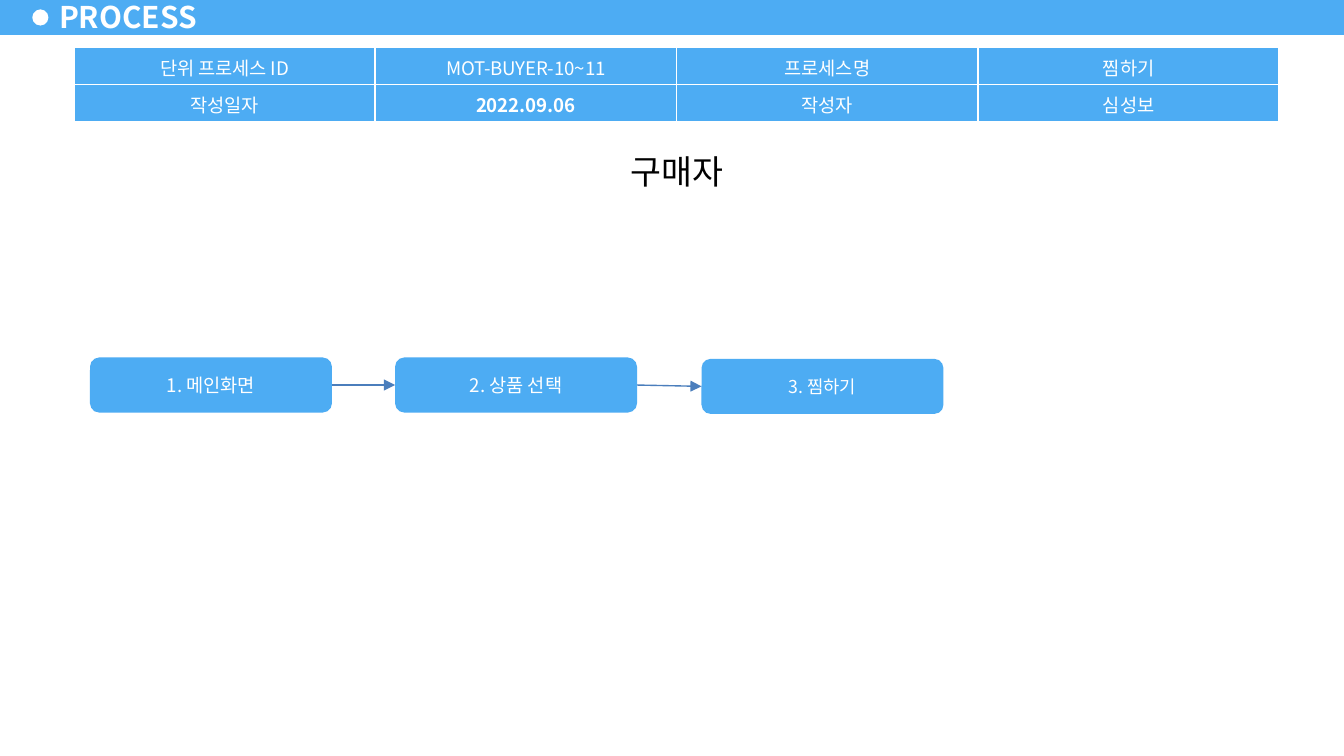
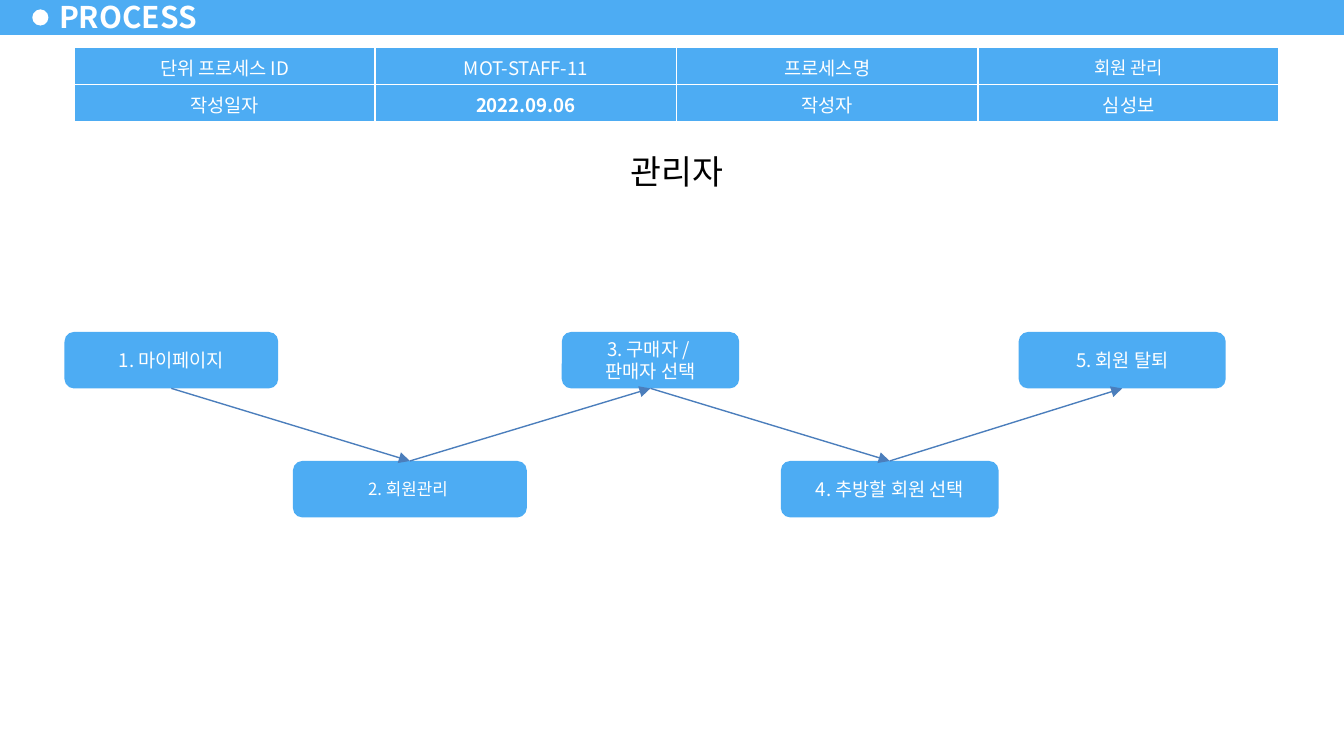
"""Builds two process slides, each with a header table and a flow of steps."""
from dataclasses import dataclass
from itertools import cycle

from lxml.etree import SubElement
from pptx import Presentation
from pptx.dml.color import RGBColor as RGB
from pptx.enum.shapes import MSO_CONNECTOR as LINE, MSO_SHAPE as SHAPE
from pptx.enum.text import MSO_ANCHOR as ANCHOR, MSO_AUTO_SIZE as AUTO, PP_ALIGN as ALIGN
from pptx.oxml import parse_xml
from pptx.oxml.ns import nsdecls, qn
from pptx.util import Inches, Pt


@dataclass(frozen=True)
class Theme:
    font: str = "Noto Sans CJK KR"
    blue: RGB = RGB(0x4D, 0xAC, 0xF3)
    arrow: RGB = RGB(0x4B, 0x7E, 0xBC)
    white: RGB = RGB(0xFF, 0xFF, 0xFF)
    black: RGB = RGB(0, 0, 0)
    title: float = 16
    role: float = 18
    body: float = 10
    compact: float = 9.5
    small: float = 9


theme = Theme()
TOP, LEFT, BOTTOM, RIGHT = range(4)


def write(frame, text, size, color=theme.white, bold=False, align=ALIGN.CENTER):
    frame.word_wrap = True
    paragraph = frame.paragraphs[0]
    paragraph.text = text
    paragraph.alignment = align
    font = paragraph.font
    font.size, font.bold = Pt(size), bold
    font.color.rgb = color
    font.name = theme.font
    defaults = paragraph._p.pPr.find(qn("a:defRPr"))
    SubElement(defaults, qn("a:ea"), typeface=theme.font)


def block(slide, kind, bounds, fill):
    shape = slide.shapes.add_shape(kind, *map(Inches, bounds))
    shape.shadow.inherit = False
    shape.fill.solid()
    shape.fill.fore_color.rgb = fill
    shape.line.fill.background()
    return shape


processes = [
    {
        "id": "MOT-BUYER-10~11",
        "name": ("찜하기", theme.body),
        "role": "구매자",
        "steps": [
            ("1. 메인화면", (0.67, 2.66, 1.8, 0.41), theme.body),
            ("2. 상품 선택", (2.94, 2.66, 1.8, 0.41), theme.body),
            ("3. 찜하기", (5.22, 2.67, 1.8, 0.41), theme.compact),
        ],
        "joints": [(RIGHT, LEFT)],
    },
    {
        "id": "MOT-STAFF-11",
        "name": ("회원 관리", theme.compact),
        "role": "관리자",
        "steps": [
            ("1. 마이페이지", (0.48, 2.47, 1.59, 0.42), theme.body),
            ("2. 회원관리 ", (2.18, 3.43, 1.74, 0.42), theme.small),
            ("3. 구매자 / \n판매자 선택", (4.18, 2.47, 1.32, 0.42), theme.body),
            ("4. 추방할 회원 선택", (5.81, 3.43, 1.62, 0.42), theme.body),
            ("5. 회원 탈퇴", (7.58, 2.47, 1.54, 0.42), theme.body),
        ],
        "joints": [(BOTTOM, TOP), (TOP, BOTTOM)],
    },
]

prs = Presentation()
prs.slide_width = Inches(10)
prs.slide_height = prs.slide_width * 9 // 16
layout = prs.slide_layouts[5]
slides = [prs.slides.add_slide(layout) for process in processes]

band = block(slides[0], SHAPE.RECTANGLE, (0, -0.02, 10, 0.28), theme.blue)
dot = block(slides[0], SHAPE.OVAL, (0.24, 0.07, 0.12, 0.12), theme.white)
for position, part in enumerate((band, dot), start=2):
    layout.shapes.element.insert(position, part.element)

for slide, process in zip(slides, processes):
    title = slide.shapes.title
    title.left, title.top, title.width, title.height = map(Inches, (0.35, -0.04, 1.22, 0.32))
    heading = title.text_frame
    heading.auto_size = AUTO.NONE
    heading.vertical_anchor = ANCHOR.MIDDLE
    heading.margin_left = heading.margin_right = Inches(0.09)
    heading.margin_top = heading.margin_bottom = Inches(0.04)
    write(heading, "PROCESS", theme.title, bold=True, align=ALIGN.LEFT)

    role = block(slide, SHAPE.RECTANGLE, (3.25, 1.07, 3.57, 0.41), theme.white)
    role.text_frame.vertical_anchor = ANCHOR.TOP
    role.text_frame.auto_size = AUTO.SHAPE_TO_FIT_TEXT
    write(role.text_frame, process["role"], theme.role, theme.black)

    steps = []
    for label, bounds, size in process["steps"]:
        step = block(slide, SHAPE.ROUNDED_RECTANGLE, bounds, theme.blue)
        step.text_frame.vertical_anchor = ANCHOR.MIDDLE
        write(step.text_frame, label, size)
        steps.append(step)

    header = slide.shapes.add_table(2, 4, *map(Inches, (0.55, 0.35, 8.97, 0.56))).table
    header.first_row = header.horz_banding = False
    name, name_size = process["name"]
    entries = [
        ["단위 프로세스 ID", process["id"], "프로세스명", name],
        ["작성일자", "2022.09.06", "작성자", "심성보"],
    ]
    for r, row in enumerate(entries):
        for c, entry in enumerate(row):
            cell = header.cell(r, c)
            cell.fill.solid()
            cell.fill.fore_color.rgb = theme.blue
            cell.vertical_anchor = ANCHOR.MIDDLE
            cell.margin_left = cell.margin_right = Inches(0.1)
            cell.margin_top = cell.margin_bottom = Inches(0.05)
            size = name_size if (r, c) == (0, 3) else theme.body
            write(cell.text_frame, entry, size, bold=(r, c) == (1, 1))
            for position, side in enumerate("LRTB"):
                border = parse_xml(
                    f'<a:ln{side} {nsdecls("a")} w="{Pt(1)}"><a:solidFill>'
                    f'<a:srgbClr val="{theme.white}"/></a:solidFill></a:ln{side}>'
                )
                cell._tc.tcPr.insert(position, border)

    for source, target, (exit_site, entry_site) in zip(steps, steps[1:], cycle(process["joints"])):
        arrow = slide.shapes.add_connector(LINE.STRAIGHT, 0, 0, 0, 0)
        arrow.begin_connect(source, exit_site)
        arrow.end_connect(target, entry_site)
        arrow.line.color.rgb = theme.arrow
        arrow.line.width = Pt(0.75)
        properties = arrow.element.spPr
        SubElement(properties.find(qn("a:ln")), qn("a:tailEnd"), type="triangle")
        SubElement(properties, qn("a:effectLst"))

prs.save("out.pptx")
